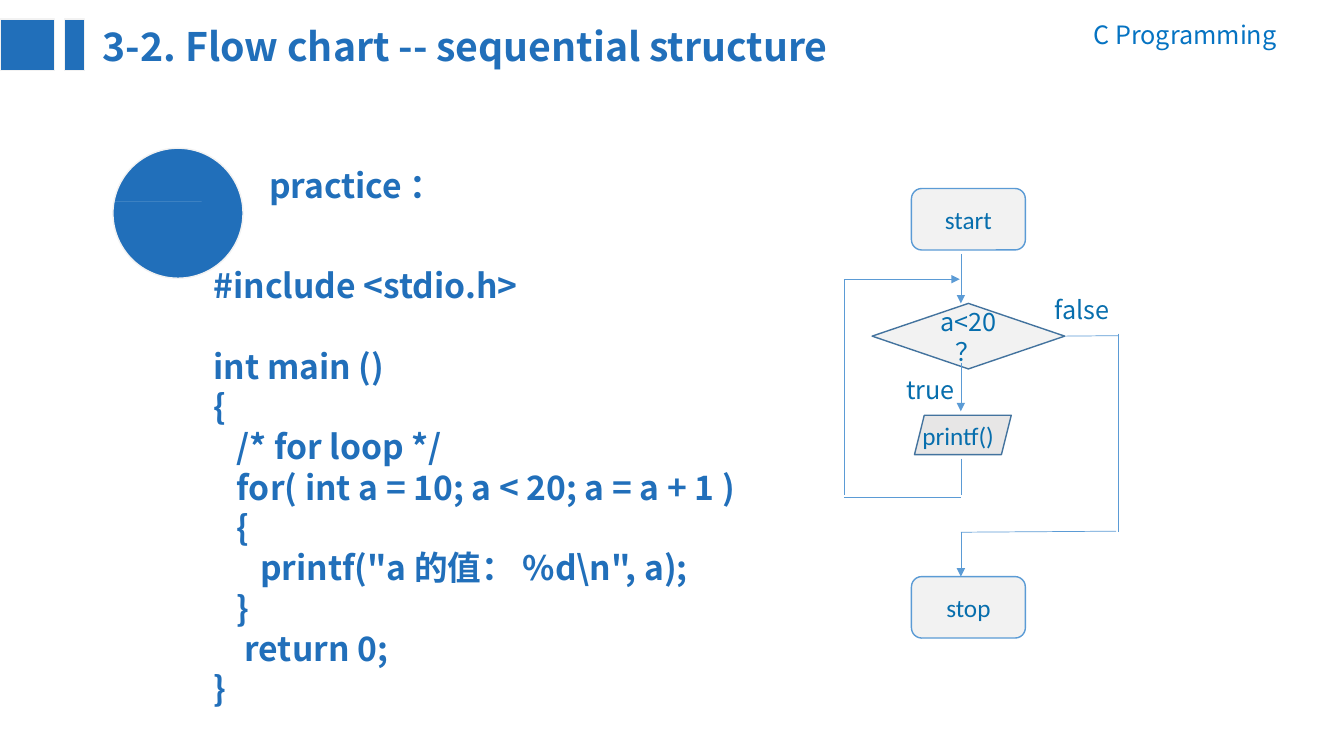
from dataclasses import dataclass

from lxml import etree
from pptx import Presentation
from pptx.dml.color import RGBColor
from pptx.enum.shapes import MSO_CONNECTOR, MSO_SHAPE
from pptx.enum.text import MSO_ANCHOR, PP_ALIGN
from pptx.oxml.ns import qn
from pptx.util import Inches, Pt

RECT, OVAL = MSO_SHAPE.RECTANGLE, MSO_SHAPE.OVAL
ROUND = MSO_SHAPE.FLOWCHART_ALTERNATE_PROCESS
CHOICE, SLANT = MSO_SHAPE.FLOWCHART_DECISION, MSO_SHAPE.PARALLELOGRAM
STRAIGHT = MSO_CONNECTOR.STRAIGHT
TOP, MIDDLE = MSO_ANCHOR.TOP, MSO_ANCHOR.MIDDLE
LEFT, CENTER, RIGHT = PP_ALIGN.LEFT, PP_ALIGN.CENTER, PP_ALIGN.RIGHT

SANS, BODY = "Noto Sans CJK SC", "Calibri"
HEX = {"blue": "216FBA", "head": "0573C2", "ink": "076EAD", "edge": "5B9BD5",
       "dark": "43739E", "pale": "F2F2F2", "gray": "E7E6E6", "white": "FFFFFF"}
RIGHT_SIDE = 3
STEP = 0.077  # width of one code space
GAP = 28.8    # one empty code line, in points


@dataclass
class Box:
    kind: int
    at: tuple[float, float, float, float]
    fill: str
    edge: str
    text: str = ""
    font: str = BODY


@dataclass
class Label:
    text: str
    at: tuple[float, float, float, float]
    size: int = 18
    color: str = "ink"
    bold: bool = False
    font: str = SANS
    align: int = LEFT
    space: float = 1.0


@dataclass
class Link:
    start: tuple[float, float]
    end: tuple[float, float]
    arrow: bool = False


@dataclass
class Code:
    text: str
    depth: int = 0
    before: float = 0


def color(name: str) -> RGBColor:
    return RGBColor.from_string(HEX[name])


def add_run(para, text: str, size: int, tint: str, bold: bool, name: str) -> None:
    """Add a run with the same font for Latin and East Asian letters."""
    run = para.add_run()
    run.text = text
    font = run.font
    font.size, font.bold, font.name = Pt(size), bold, name
    font.color.rgb = color(tint)
    asian = etree.SubElement(run._r.get_or_add_rPr(), qn("a:ea"))
    asian.set("typeface", name)


def add_box(shapes, box: Box):
    shape = shapes.add_shape(box.kind, *map(Inches, box.at))
    shape.shadow.inherit = False
    shape.fill.solid()
    shape.fill.fore_color.rgb = color(box.fill)
    shape.line.color.rgb = color(box.edge)
    shape.line.width = Pt(1)
    if box.text:
        frame = shape.text_frame
        frame.word_wrap, frame.vertical_anchor = True, MIDDLE
        para = frame.paragraphs[0]
        para.alignment = CENTER
        add_run(para, box.text, 18, "ink", False, box.font)
    return shape


def fill_label(shape, label: Label) -> None:
    frame = shape.text_frame
    frame.word_wrap, frame.vertical_anchor = True, TOP
    para = frame.paragraphs[0]
    para.alignment, para.line_spacing = label.align, label.space
    add_run(para, label.text, label.size, label.color, label.bold, label.font)


def add_label(shapes, label: Label) -> None:
    fill_label(shapes.add_textbox(*map(Inches, label.at)), label)


def add_link(shapes, link: Link):
    line = shapes.add_connector(STRAIGHT, *map(Inches, link.start + link.end))
    line.line.color.rgb = color("edge")
    line.line.width = Pt(0.5)
    if link.arrow:
        tail = etree.SubElement(line.line._get_or_add_ln(), qn("a:tailEnd"))
        tail.set("type", "triangle")
    etree.SubElement(line._element.spPr, qn("a:effectLst"))
    return line


def add_icon(shapes, paths: list) -> None:
    """Draw closed outlines as one white shape."""
    pen = None
    for first, *rest in paths:
        if pen is None:
            pen = shapes.build_freeform(*first, scale=Inches(1))
        else:
            pen.move_to(*first)
        pen.add_line_segments(rest, close=True)
    icon = pen.convert_to_shape()
    icon.shadow.inherit = False
    icon.fill.solid()
    icon.fill.fore_color.rgb = color("white")
    icon.line.fill.background()


def add_code(shapes, lines: list[Code]) -> None:
    frame = shapes.add_textbox(*map(Inches, (2.02, 2.58, 6.35, 4.54))).text_frame
    frame.word_wrap = True
    for i, line in enumerate(lines):
        para = frame.add_paragraph() if i else frame.paragraphs[0]
        para.space_before = Pt(line.before)
        para._p.get_or_add_pPr().set("marL", str(Inches(line.depth * STEP)))
        add_run(para, line.text, 24, "blue", True, SANS)


TITLE = Label("3-2. Flow chart -- sequential structure",
              (0.92, 0.17, 8.29, 0.57), 28, "blue", True)
LABELS = [
    Label("C Programming", (9.76, 0.14, 3, 0.4), color="head", align=RIGHT),
    Label("practice ：", (2.57, 1.51, 4.02, 0.58), 24, "blue", True, space=1.2),
    Label("true", (8.89, 3.66, 0.98, 0.4)),
    Label("false", (10.36, 2.87, 0.98, 0.4)),
    Label("printf()", (9.05, 4.12, 0.96, 0.4), font=BODY),
]
BOXES = [
    Box(RECT, (0, 0.19, 0.54, 0.51), "blue", "pale"),
    Box(RECT, (0.64, 0.19, 0.2, 0.51), "blue", "pale"),
    Box(OVAL, (1.12, 1.47, 1.29, 1.29), "blue", "pale"),
    Box(SLANT, (9.07, 4.12, 0.96, 0.39), "gray", "dark"),
    Box(ROUND, (9.04, 1.87, 1.13, 0.61), "pale", "edge", "start"),
    Box(ROUND, (9.04, 5.72, 1.13, 0.61), "pale", "edge", "stop"),
]
TEST = Box(CHOICE, (8.65, 3.01, 1.91, 0.65), "pale", "dark", "a<20？", SANS)
MID, BACK, EXIT = 9.53, 8.37, 11.09
EXIT_LINK = Link((10.56, 3.33), (EXIT, 3.33))
LINKS = [
    Link((MID, 2.52), (MID, 3.01), True),
    Link((MID, 3.6), (MID, 4.08), True),
    Link((MID, 4.55), (MID, 4.91)),
    Link((MID, 4.93), (BACK, 4.93)),
    Link((BACK, 4.91), (BACK, 2.77)),
    Link((BACK, 2.77), (9.52, 2.77), True),
    Link((EXIT, 3.31), (EXIT, 5.28)),
    Link((11.07, 5.27), (MID, 5.28)),
    Link((MID, 5.28), (MID, 5.72), True),
]
CODE = [
    Code("#include <stdio.h>"), Code("int main ()", before=GAP), Code("{"),
    Code("/* for loop */", 3), Code("for( int a = 10; a < 20; a = a + 1 )", 3),
    Code("{", 3), Code('printf("a 的值： %d\\n", a);', 6), Code("}", 3),
    Code("return 0;", 4), Code("}"),
]
BOOKS = [
    [(1.94, 2.29), (1.92, 2.31), (1.54, 2.31), (1.5, 2.3), (1.49, 2.26), (1.49, 2.21),
     (1.5, 2.18), (1.54, 2.17), (1.92, 2.17), (1.94, 2.18), (1.92, 2.19), (1.92, 2.28)],
    [(1.99, 2.14), (1.98, 2.15), (1.65, 2.15), (1.62, 2.14), (1.61, 2.11), (1.61, 2.07),
     (1.62, 2.04), (1.65, 2.03), (1.98, 2.03), (1.99, 2.04), (1.97, 2.06), (1.97, 2.12)],
    [(1.65, 2.12), (1.95, 2.12), (1.95, 2.06), (1.65, 2.06), (1.63, 2.07), (1.63, 2.11)],
    [(2.01, 1.87), (1.48, 1.87), (1.47, 1.88), (1.48, 1.9), (1.49, 1.9), (1.49, 2.01),
     (1.48, 2.03), (1.51, 2.05), (1.53, 2.03), (1.52, 2.01), (1.52, 1.9), (1.58, 1.9),
     (1.58, 2), (1.59, 2.01), (1.9, 2.01), (1.91, 2), (1.91, 1.9), (2.01, 1.9), (2.02, 1.88)],
]


def main() -> None:
    deck = Presentation()
    deck.slide_width, deck.slide_height = Inches(13.33), Inches(7.5)
    slide = deck.slides.add_slide(deck.slide_layouts[5])
    shapes = slide.shapes
    title = shapes.title
    title.left, title.top, title.width, title.height = map(Inches, TITLE.at)
    fill_label(title, TITLE)
    for box in BOXES:
        add_box(shapes, box)
    add_icon(shapes, BOOKS)
    add_code(shapes, CODE)
    test = add_box(shapes, TEST)
    for link in LINKS:
        add_link(shapes, link)
    add_link(shapes, EXIT_LINK).begin_connect(test, RIGHT_SIDE)
    for label in LABELS:
        add_label(shapes, label)
    deck.save("out.pptx")


if __name__ == "__main__":
    main()
